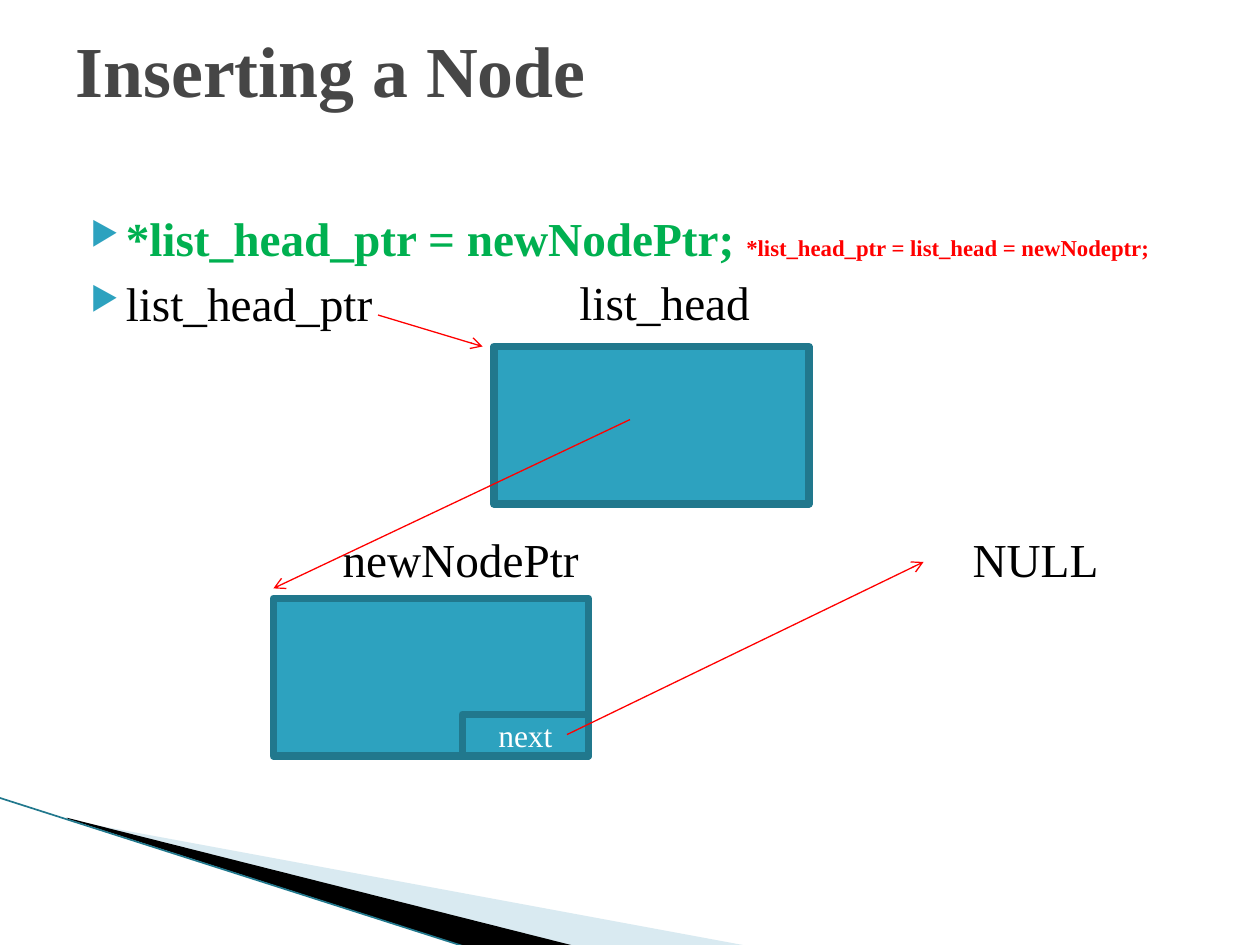
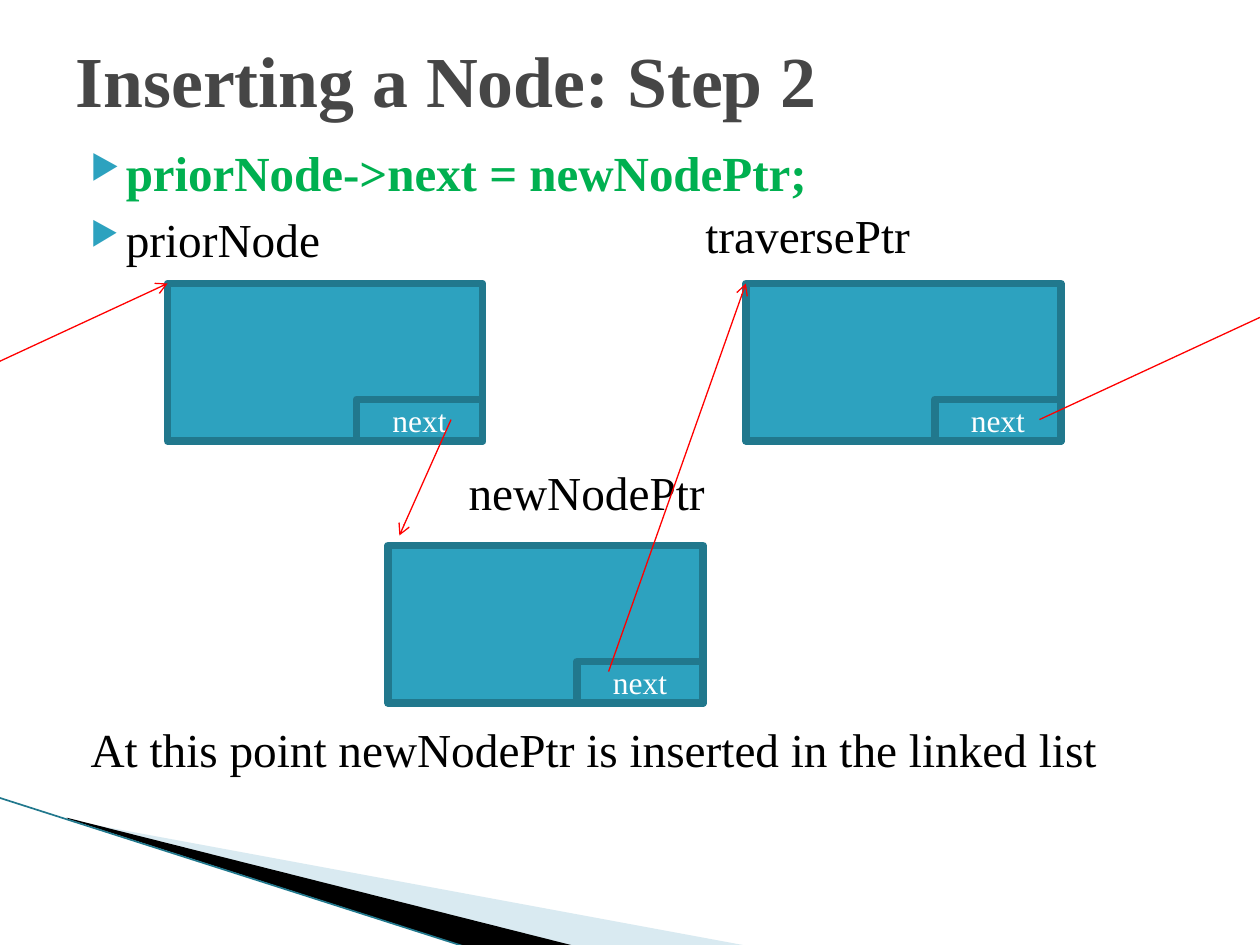
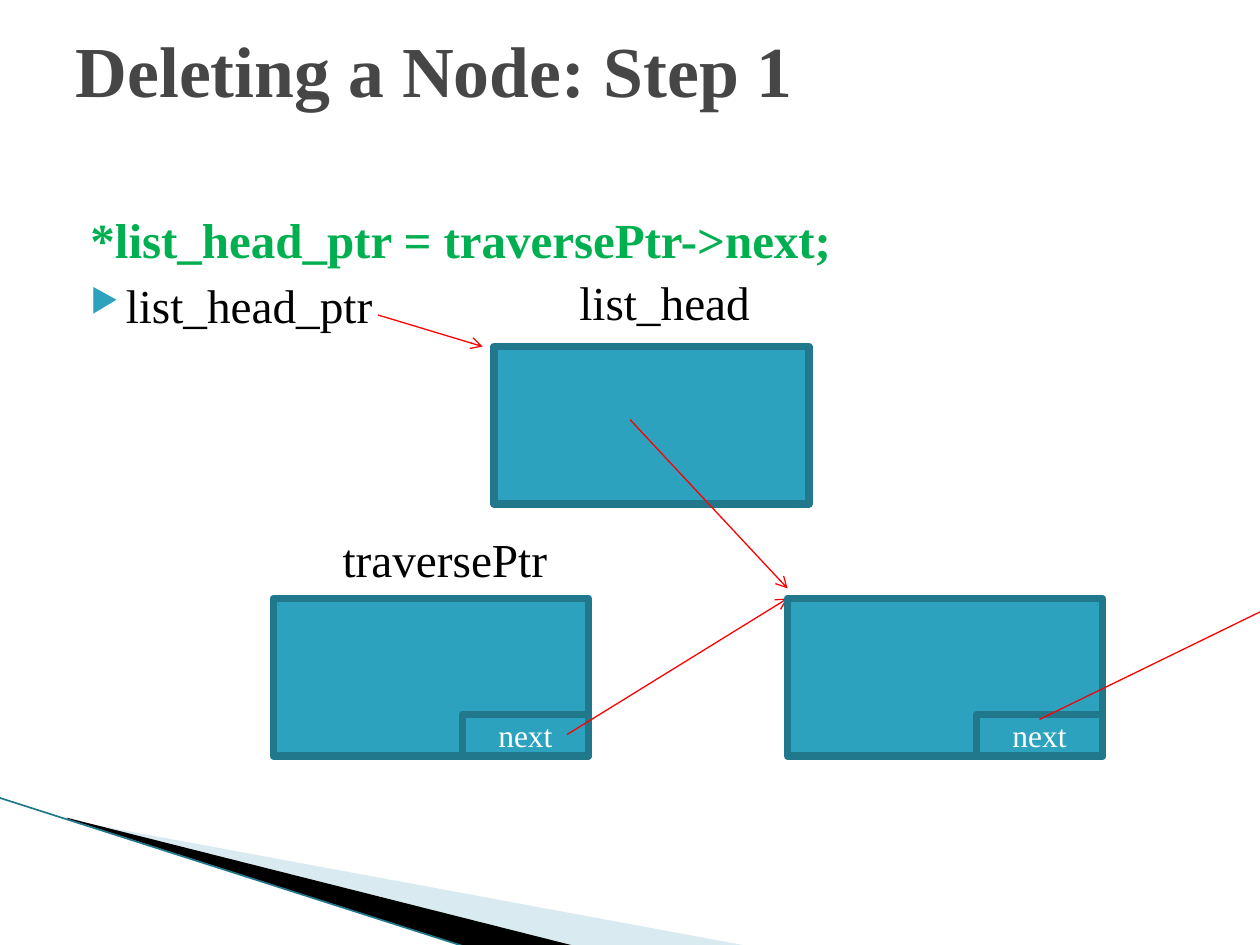
import pptx
import pptx.dml.color
import pptx.enum.shapes
import pptx.enum.text
import pptx.oxml
import pptx.oxml.ns
import pptx.util
from lxml import etree

FONT = "Times New Roman"
TEAL, DARK_TEAL, PALE = "2DA2BF", "21788D", "A0CBDC"
GREEN, RED, GREY, BLACK, WHITE = "00B050", "FF0000", "464646", "000000", "FFFFFF"

WIDTH, HEIGHT = 10, 7.5
MARGIN = 0.5
INDENT = 0.12            # text starts this far inside the body's inset
INSET = 0.1
HANG = 0.28
ROW = 0.51               # distance between lines of body text
NODE_W, NODE_H = 2.5, 1.25
NEXT_W, NEXT_H = 1, 0.33

# statement: runs of (text, size, colour); labels: (text, left, row);
# diagram: ("node", left, top, has next) or ("arrow", from x, from y, to x, to y)
SLIDES = [
    dict(
        title="Inserting a Node", title_top=-0.08, body_top=1.61, bulleted=True,
        statement=[("*list_head_ptr = newNodePtr; ", 27, GREEN),
                   ("*list_head_ptr = list_head = newNodeptr;", 13, RED)],
        pointer="list_head_ptr",
        labels=[("list_head", 4.6, 1), ("newNodePtr", 2.72, 5), ("NULL", 7.72, 5)],
        diagram=[("node", 3.92, 2.75, False), ("node", 2.17, 4.75, True),
                 ("arrow", 3, 2.5, 3.83, 2.75),
                 ("arrow", 5, 3.33, 2.17, 4.67),
                 ("arrow", 4.5, 5.83, 7.33, 4.46)],
    ),
    dict(
        title="Inserting a Node: Step 2", title_top=0, body_top=1.08, bulleted=True,
        statement=[("priorNode->next = newNodePtr;", 28, GREEN)],
        pointer="priorNode",
        labels=[("traversePtr", 5.6, 1), ("newNodePtr", 3.72, 5),
                ("At this point newNodePtr is inserted in the linked list", 0.72, 9)],
        diagram=[("node", 1.33, 2.25, True), ("node", 3.08, 4.33, True),
                 ("node", 5.92, 2.25, True),
                 ("arrow", 3.58, 3.33, 3.17, 4.25),
                 ("arrow", -1, 3.33, 1.33, 2.25),
                 ("arrow", 8.25, 3.33, 10.58, 2.25),
                 ("arrow", 4.83, 5.33, 5.92, 2.25)],
    ),
    dict(
        title="Deleting a Node: Step 1", title_top=-0.08, body_top=1.61, bulleted=False,
        statement=[("*list_head_ptr = traversePtr->next;", 28, GREEN)],
        pointer="list_head_ptr",
        labels=[("list_head", 4.6, 1), ("traversePtr", 2.72, 5)],
        diagram=[("node", 3.92, 2.75, False), ("node", 2.17, 4.75, True),
                 ("arrow", 3, 2.5, 3.83, 2.75),
                 ("arrow", 5, 3.33, 6.25, 4.67),
                 ("arrow", 4.5, 5.83, 6.25, 4.75),
                 ("node", 6.25, 4.75, True),
                 ("arrow", 8.25, 5.71, 11.08, 4.33)],
    ),
]

# Corner wedges: (corners, colour, opacity in percent)
WEDGES = [
    ([(0.55, 6.51), (5.95, 7.51), (4.56, 7.51), (0.55, 6.5)], PALE, 40),
    ([(0.53, 6.49), (4.57, 7.51), (3.72, 7.52), (0.54, 6.5)], BLACK, 100),
]
CORNER_LINE = (-0.01, 6.33, 3.71, 7.52)


def inches(*lengths):
    return [pptx.util.Inches(length) for length in lengths]


def rgb(colour):
    return pptx.dml.color.RGBColor.from_string(colour)


def sub(parent, tag, **attributes):
    return etree.SubElement(parent, pptx.oxml.ns.qn(tag), attributes)


def write(paragraph, text, size=27, colour=BLACK, bold=False, align="LEFT"):
    run = paragraph.add_run()
    run.text = text
    run.font.name, run.font.size, run.font.bold = FONT, pptx.util.Pt(size), bold
    run.font.color.rgb = rgb(colour)
    paragraph.alignment = getattr(pptx.enum.text.PP_ALIGN, align)


def add_bullet(paragraph):
    properties = paragraph._p.get_or_add_pPr()
    sub(sub(properties, "a:buClr"), "a:srgbClr", val=TEAL)
    sub(properties, "a:buSzPct", val="68000")
    sub(properties, "a:buChar", char="▶")


def set_indent(paragraph, left, first):
    properties = paragraph._p.get_or_add_pPr()
    properties.set("marL", str(pptx.util.Inches(left)))
    properties.set("indent", str(pptx.util.Inches(first)))


def add_body_box(slide, left, top, width, height):
    """Text box with the body's spacing on its first paragraph."""
    frame = slide.shapes.add_textbox(*inches(left, top, width, height)).text_frame
    frame.word_wrap = True
    frame.paragraphs[0].space_before = pptx.util.Pt(5)
    return frame


def add_line(slide, x1, y1, x2, y2, colour=RED, weight=0.75, arrow=True):
    line = slide.shapes.add_connector(
        pptx.enum.shapes.MSO_CONNECTOR.STRAIGHT, *inches(x1, y1, x2, y2))
    line.line.color.rgb = rgb(colour)
    line.line.width = pptx.util.Pt(weight)
    if arrow:
        sub(line.line._get_or_add_ln(), "a:tailEnd", type="arrow")
    sub(line._element.spPr, "a:effectLst")
    return line


def add_box(slide, left, top, width, height):
    box = slide.shapes.add_shape(
        pptx.enum.shapes.MSO_SHAPE.RECTANGLE, *inches(left, top, width, height))
    box.shadow.inherit = False
    box.fill.solid()
    box.fill.fore_color.rgb = rgb(TEAL)
    box.line.color.rgb = rgb(DARK_TEAL)
    box.line.width = pptx.util.Pt(4.33)
    return box


def add_node(slide, left, top, has_next):
    add_box(slide, left, top, NODE_W, NODE_H)
    if has_next:
        field = add_box(slide, left + NODE_W - NEXT_W, top + NODE_H - NEXT_H,
                        NEXT_W, NEXT_H)
        frame = field.text_frame
        frame.margin_top = frame.margin_bottom = 0
        frame.vertical_anchor = pptx.enum.text.MSO_ANCHOR.MIDDLE
        write(frame.paragraphs[0], "next", size=18, colour=WHITE, align="CENTER")


def add_wedge(slide, corners, colour, opacity):
    first, *rest = [inches(*corner) for corner in corners]
    builder = slide.shapes.build_freeform(*first)
    builder.add_line_segments(rest, close=True)
    wedge = builder.convert_to_shape()
    wedge.shadow.inherit = False
    wedge.fill.solid()
    wedge.fill.fore_color.rgb = rgb(colour)
    wedge.line.fill.background()
    if opacity < 100:
        fill = wedge._element.spPr.find(".//" + pptx.oxml.ns.qn("a:srgbClr"))
        sub(fill, "a:alpha", val=str(opacity * 1000))
    return wedge


def decorate_layout(slide):
    """Draw the corner once and hand it to the layout that all slides share."""
    corner = [add_wedge(slide, *wedge) for wedge in WEDGES]
    corner.append(add_line(slide, *CORNER_LINE, colour=DARK_TEAL, weight=0.95,
                           arrow=False))
    for part in corner:
        slide.slide_layout.shapes.element.append(part._element)


def add_title(slide, text, top):
    title = slide.shapes.title
    title.left, title.top, title.width, title.height = inches(
        MARGIN, top, WIDTH - 2 * MARGIN, 1.25)
    title.text_frame.vertical_anchor = pptx.enum.text.MSO_ANCHOR.MIDDLE
    write(title.text_frame.paragraphs[0], text, size=41, colour=GREY, bold=True)


def add_body(slide, content):
    top = content["body_top"]
    frame = add_body_box(slide, MARGIN, top, WIDTH - 2 * MARGIN, 2 * ROW + INSET)
    statement, pointer = frame.paragraphs[0], frame.add_paragraph()
    pointer.space_before = pptx.util.Pt(5)
    for paragraph in (statement, pointer):
        set_indent(paragraph, INDENT + HANG, -HANG)
    for text, size, colour in content["statement"]:
        write(statement, text, size=size, colour=colour, bold=True)
    write(pointer, content["pointer"])
    if content["bulleted"]:
        add_bullet(statement)
    add_bullet(pointer)
    for text, left, row in content["labels"]:
        label = add_body_box(slide, left - INSET, top + row * ROW,
                             WIDTH - left, ROW + INSET)
        write(label.paragraphs[0], text)


def main():
    deck = pptx.Presentation()
    deck.slide_width, deck.slide_height = inches(WIDTH, HEIGHT)
    title_only = deck.slide_layouts[5]
    draw = {"node": add_node, "arrow": add_line}
    for number, content in enumerate(SLIDES):
        slide = deck.slides.add_slide(title_only)
        if number == 0:
            decorate_layout(slide)
        add_title(slide, content["title"], content["title_top"])
        add_body(slide, content)
        for kind, *place in content["diagram"]:
            draw[kind](slide, *place)
    deck.save("out.pptx")


if __name__ == "__main__":
    main()
